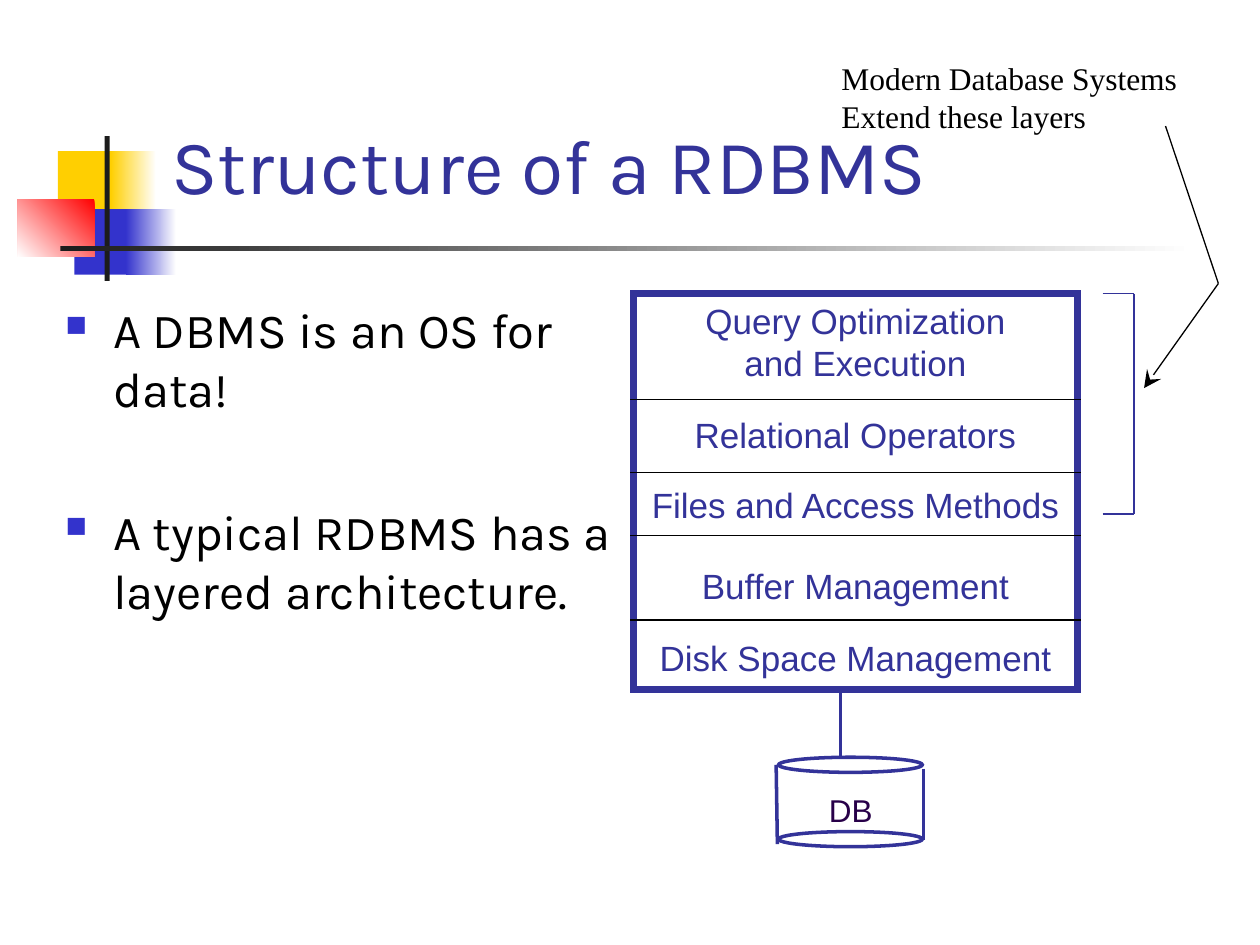
from lxml import etree
from pptx import Presentation, util as u
from pptx.dml.color import RGBColor
from pptx.enum import shapes, text
from pptx.oxml.ns import qn

NAVY, BLUE, BLACK, WHITE = "333399", "3333CC", "000000", "FFFFFF"
YELLOW, RED, CHARCOAL, PLUM = "FFCF01", "FF0000", "1C1C1C", "280049"


def colour(value):
    return RGBColor.from_string(value)


class SlideBuilder:
    """Holds the slide and its text style, and draws each kind of element."""

    def __init__(self, slide, font, ink):
        self.slide, self.font, self.ink = slide, font, ink

    def shape(self, place, fill=None, fade=None, angle=0, line=None, width=1,
              kind=shapes.MSO_SHAPE.RECTANGLE):
        shape = self.slide.shapes.add_shape(kind, *map(u.Inches, place))
        shape.shadow.inherit = False
        if fade:
            shape.fill.gradient()
            shape.fill.gradient_angle = angle
            for stop, value in zip(shape.fill.gradient_stops, (fill, fade)):
                stop.color.rgb = colour(value)
        elif fill:
            shape.fill.solid()
            shape.fill.fore_color.rgb = colour(fill)
        else:
            shape.fill.background()
        if line:
            shape.line.color.rgb = colour(line)
            shape.line.width = u.Pt(width)
            etree.SubElement(shape.line._get_or_add_ln(), qn("a:miter"), lim="800000")
        else:
            shape.line.fill.background()

    def line(self, start, end, ink=NAVY, width=1, arrow=False):
        line = self.slide.shapes.add_connector(
            shapes.MSO_CONNECTOR.STRAIGHT, *map(u.Inches, start + end))
        line.line.color.rgb = colour(ink)
        line.line.width = u.Pt(width)
        if arrow:
            etree.SubElement(line.line._get_or_add_ln(), qn("a:tailEnd"),
                             type="stealth", w="lg", len="lg")
        etree.SubElement(line._element.spPr, qn("a:effectLst"))

    def text(self, place, lines, size, font=None, ink=None, wrap=False, gap=0,
             align=text.PP_ALIGN.LEFT, anchor=text.MSO_ANCHOR.TOP, bullet=False):
        box = self.slide.shapes.add_textbox(*map(u.Inches, place))
        frame = box.text_frame
        frame.word_wrap = wrap
        frame.vertical_anchor = anchor
        for index, words in enumerate(lines):
            para = frame.paragraphs[0] if index == 0 else frame.add_paragraph()
            para.alignment = align
            if index and gap:
                para.space_before = u.Pt(gap)
            if bullet:
                self.bullet(para)
            span = para.add_run()
            span.text = words
            span.font.size = u.Pt(size)
            span.font.name = font or self.font
            span.font.color.rgb = colour(ink or self.ink)

    def bullet(self, para):
        props = para._p.get_or_add_pPr()
        indent = u.Inches(0.38)
        props.set("marL", str(indent))
        props.set("indent", str(-indent))
        tint = etree.SubElement(props, qn("a:buClr"))
        etree.SubElement(tint, qn("a:srgbClr"), val=BLUE)
        etree.SubElement(props, qn("a:buSzPct"), val="60000")
        etree.SubElement(props, qn("a:buChar"), char="■")


def draw_heading(builder):
    builder.shape((0.46, 1.2, 0.48, 0.52), YELLOW)
    builder.shape((0.88, 1.2, 0.36, 0.52), YELLOW, WHITE)
    builder.shape((0.59, 1.66, 0.46, 0.52), BLUE)
    builder.shape((1, 1.66, 0.4, 0.52), BLUE, WHITE)
    builder.shape((0.14, 1.58, 0.61, 0.46), RED, WHITE, angle=225)
    builder.shape((0.83, 1.08, 0.04, 1.15), CHARCOAL)
    builder.shape((0.48, 1.95, 9, 0.04), CHARCOAL, WHITE)
    builder.text((1.26, 0.67, 8.52, 1.25), ["Structure of a RDBMS"], 44, "Karla",
                 wrap=True, anchor=text.MSO_ANCHOR.MIDDLE)


def draw_layers(builder):
    layers = [
        (2.33, 0.76, ["Query Optimization", "and Execution"]),
        (3.23, 0.43, ["Relational Operators"]),
        (3.79, 0.43, ["Files and Access Methods"]),
        (4.43, 0.43, ["Buffer Management"]),
        (5, 0.43, ["Disk Space Management"]),
    ]
    for top, height, lines in layers:
        builder.text((5.04, top, 3.5, height), lines, 20, align=text.PP_ALIGN.CENTER)
    builder.shape((5.03, 2.33, 3.52, 3.14), line=NAVY, width=4)
    for level in (3.17, 3.75, 4.25, 4.92):
        builder.line((5, level), (8.58, level), BLACK)


def draw_database(builder):
    for top in (6.01, 6.6):
        builder.shape((6.18, top, 1.14, 0.12), line=NAVY, width=2,
                      kind=shapes.MSO_SHAPE.OVAL)
    builder.line((6.16, 6.07), (6.17, 6.7), width=2)
    builder.line((7.33, 6.1), (7.33, 6.67), width=2)
    builder.line((6.67, 5.5), (6.67, 6), width=2)
    builder.text((6.48, 6.23, 0.55, 0.4), ["DB"], 18, ink=PLUM)


def draw_extension_note(builder):
    for level in (2.33, 4.08):
        builder.line((8.75, level), (9, level))
    builder.line((9, 2.33), (9, 4.08))
    builder.text((6.58, 0.42, 3, 0.7),
                 ["Modern Database Systems", "Extend these layers"],
                 18, "Times New Roman", BLACK)
    builder.line((9.25, 1), (9.67, 2.25), BLACK, 0.75)
    builder.line((9.67, 2.25), (9.08, 3.08), BLACK, 0.75, arrow=True)


def main():
    deck = Presentation()
    deck.slide_width, deck.slide_height = u.Inches(10), u.Inches(7.5)
    page = deck.slides.add_slide(deck.slide_layouts[6])
    builder = SlideBuilder(page, "Arial", NAVY)
    draw_heading(builder)
    builder.text((0.42, 2.33, 4.58, 4.5),
                 ["A DBMS is an OS for data!", "A typical RDBMS has a layered architecture."],
                 28, "Karla", BLACK, wrap=True, gap=48, bullet=True)
    draw_layers(builder)
    draw_database(builder)
    draw_extension_note(builder)
    deck.save("out.pptx")


if __name__ == "__main__":
    main()
